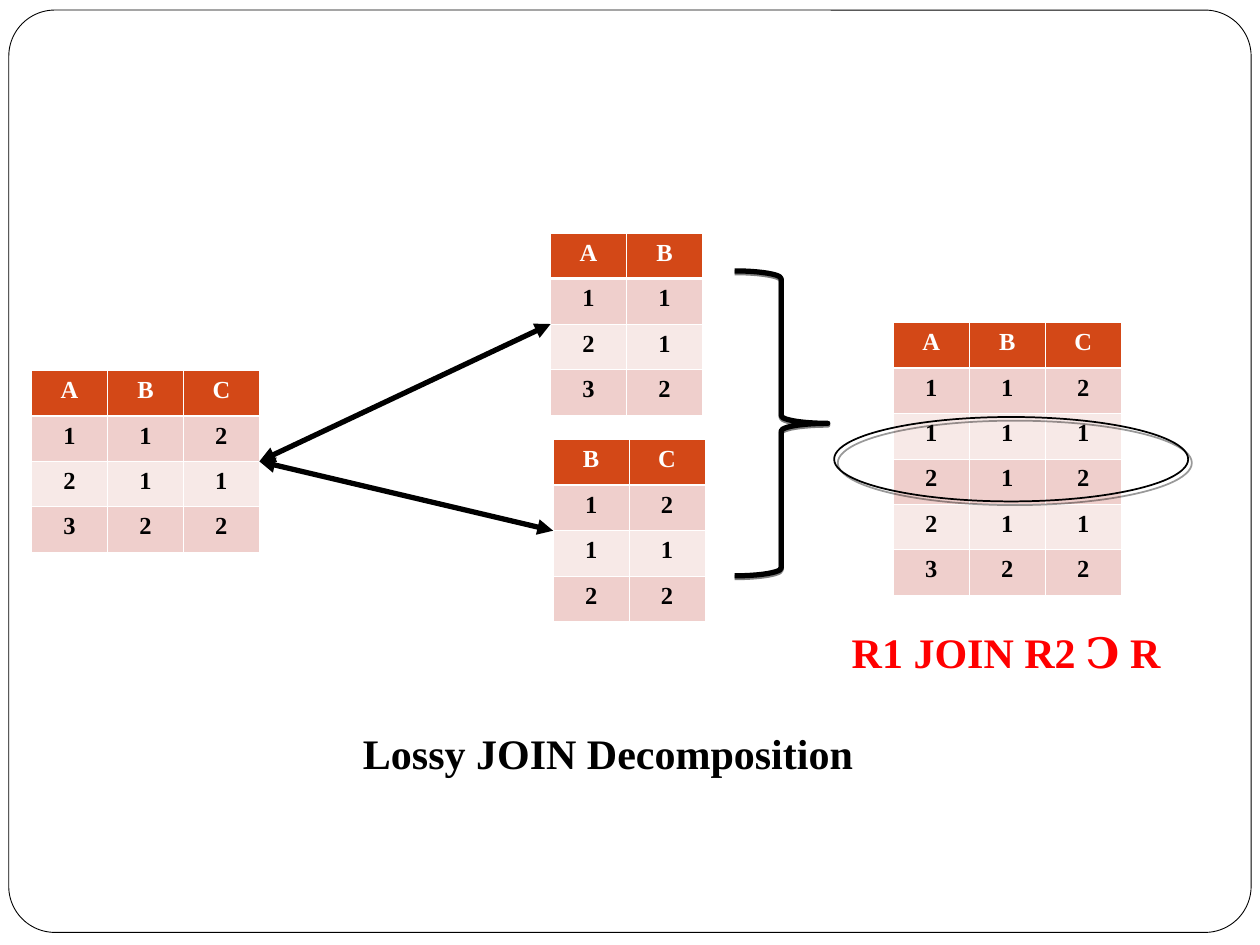
from dataclasses import dataclass

from lxml.etree import SubElement
from pptx import Presentation
from pptx.dml.color import RGBColor
from pptx.enum.shapes import MSO_CONNECTOR, MSO_SHAPE
from pptx.enum.text import MSO_ANCHOR, PP_ALIGN
from pptx.oxml import parse_xml
from pptx.oxml.ns import nsdecls, qn
from pptx.util import Inches, Pt


@dataclass(frozen=True)
class Theme:
    font: str = "Times New Roman"
    black: RGBColor = RGBColor(0x00, 0x00, 0x00)
    white: RGBColor = RGBColor(0xFF, 0xFF, 0xFF)
    red: RGBColor = RGBColor(0xFF, 0x00, 0x00)
    header: RGBColor = RGBColor(0xD3, 0x48, 0x17)
    odd_row: RGBColor = RGBColor(0xEF, 0xCF, 0xCC)
    even_row: RGBColor = RGBColor(0xF7, 0xE9, 0xE7)
    cell_size: Pt = Pt(14)
    label_size: Pt = Pt(24)
    grid_line: Pt = Pt(0.45)
    header_line: Pt = Pt(1.47)


THEME = Theme()
COLUMN_WIDTH = Inches(0.603)
ROW_HEIGHT = Inches(0.361)


def write_text(text_frame, text, size, color):
    paragraph = text_frame.paragraphs[0]
    paragraph.text = text
    paragraph.alignment = PP_ALIGN.CENTER
    paragraph.font.name = THEME.font
    paragraph.font.size = size
    paragraph.font.bold = True
    paragraph.font.color.rgb = color


def set_borders(cell, top, bottom):
    """Draw white cell borders; the sides always use the thin grid line."""
    widths = {"L": THEME.grid_line, "R": THEME.grid_line, "T": top, "B": bottom}
    properties = cell._tc.get_or_add_tcPr()
    for index, (side, width) in enumerate(widths.items()):
        border = parse_xml(
            f'<a:ln{side} {nsdecls("a")} w="{int(width)}"><a:solidFill>'
            f'<a:srgbClr val="{THEME.white}"/></a:solidFill></a:ln{side}>'
        )
        properties.insert(index, border)


def add_relation(slide, left, top, rows):
    """Add a relation as a table; the first string of rows holds the attributes."""
    columns = len(rows[0])
    frame = slide.shapes.add_table(
        len(rows), columns, Inches(left), Inches(top),
        COLUMN_WIDTH * columns, ROW_HEIGHT * len(rows),
    )
    for row_index, values in enumerate(rows):
        is_header = row_index == 0
        if is_header:
            fill, color = THEME.header, THEME.white
        else:
            fill = THEME.odd_row if row_index % 2 else THEME.even_row
            color = THEME.black
        for column_index, value in enumerate(values):
            cell = frame.table.cell(row_index, column_index)
            cell.margin_left = cell.margin_right = Inches(0.07)
            cell.fill.solid()
            cell.fill.fore_color.rgb = fill
            set_borders(
                cell,
                top=THEME.header_line if row_index == 1 else THEME.grid_line,
                bottom=THEME.header_line if is_header else THEME.grid_line,
            )
            write_text(cell.text_frame, value, THEME.cell_size, color)
    return frame


def add_double_arrow(slide, source, target):
    """Link the right side of one table to the left side of another."""
    arrow = slide.shapes.add_connector(
        MSO_CONNECTOR.STRAIGHT,
        source.left + source.width, source.top + source.height // 2,
        target.left, target.top + target.height // 2,
    )
    arrow.line.color.rgb = THEME.black
    arrow.line.width = Pt(3)
    line = arrow.line._get_or_add_ln()
    for end in ("a:headEnd", "a:tailEnd"):
        SubElement(line, qn(end), type="triangle")
    SubElement(arrow._element.spPr, qn("a:effectLst"))


def add_outline(slide, preset, left, top, width, height, line_width):
    shape = slide.shapes.add_shape(
        preset, Inches(left), Inches(top), Inches(width), Inches(height)
    )
    shape.shadow.inherit = False
    shape.fill.background()
    shape.line.color.rgb = THEME.black
    shape.line.width = Pt(line_width)
    return shape


def add_shadow(shape, distance, degrees, opacity):
    effects = shape._element.spPr.find(qn("a:effectLst"))
    shadow = SubElement(
        effects, qn("a:outerShdw"), blurRad="0", dist=str(int(Pt(distance))),
        dir=str(degrees * 60000), algn="ctr", rotWithShape="0",
    )
    color = SubElement(shadow, qn("a:srgbClr"), val=str(THEME.black))
    SubElement(color, qn("a:alpha"), val=str(opacity * 1000))


def place_label(shape, text, color):
    text_frame = shape.text_frame
    text_frame.word_wrap = True
    text_frame.vertical_anchor = MSO_ANCHOR.MIDDLE
    write_text(text_frame, text, THEME.label_size, color)


def add_frame(slide):
    """Put the rounded page frame behind everything else."""
    frame = add_outline(slide, MSO_SHAPE.ROUNDED_RECTANGLE, 0.07, 0.08, 9.86, 7.32, 0.5)
    frame.adjustments[0] = 0.05
    frame.fill.solid()
    frame.fill.fore_color.rgb = THEME.white
    slide.shapes._spTree.insert(2, frame._element)


def main():
    presentation = Presentation()
    presentation.slide_width = Inches(10)
    presentation.slide_height = Inches(7.5)
    slide = presentation.slides.add_slide(presentation.slide_layouts[5])
    add_frame(slide)

    relation = add_relation(slide, 0.25, 2.94, ["ABC", "112", "211", "322"])
    projections = [
        add_relation(slide, 4.37, 1.85, ["AB", "11", "21", "32"]),
        add_relation(slide, 4.39, 3.49, ["BC", "12", "11", "22"]),
    ]
    for projection in projections:
        add_double_arrow(slide, relation, projection)

    brace = add_outline(slide, MSO_SHAPE.RIGHT_BRACE, 5.83, 2.15, 0.74, 2.42, 3)
    add_shadow(brace, distance=1, degrees=90, opacity=50)

    add_relation(slide, 7.09, 2.56, ["ABC", "112", "111", "212", "211", "322"])
    spurious_rows = add_outline(slide, MSO_SHAPE.OVAL, 6.62, 3.31, 2.81, 0.67, 1)
    add_shadow(spurious_rows, distance=3, degrees=45, opacity=40)

    result = slide.shapes.add_textbox(
        Inches(6.57), Inches(4.84), Inches(2.83), Inches(0.67)
    )
    place_label(result, "R1 JOIN R2 Ↄ R", THEME.red)

    title = slide.shapes.title
    title.left, title.top = Inches(2.6), Inches(5.64)
    title.width, title.height = Inches(4.45), Inches(0.67)
    place_label(title, "Lossy JOIN Decomposition", THEME.black)

    presentation.save("out.pptx")


if __name__ == "__main__":
    main()
